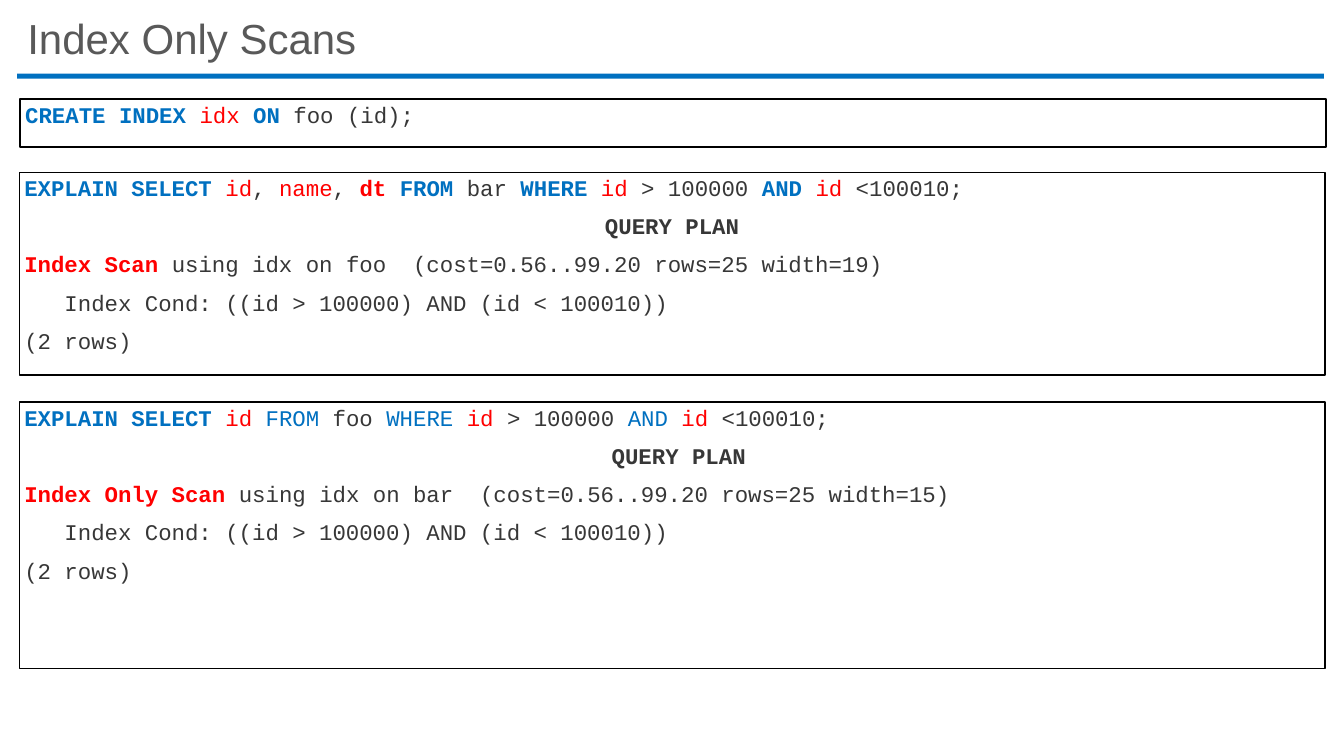
from pptx import Presentation
from pptx.dml.color import RGBColor
from pptx.enum.shapes import MSO_SHAPE
from pptx.enum.text import MSO_ANCHOR, PP_ALIGN
from pptx.util import Inches, Pt

RECTANGLE = MSO_SHAPE.RECTANGLE
TOP, MIDDLE = MSO_ANCHOR.TOP, MSO_ANCHOR.MIDDLE
LEFT, CENTER = PP_ALIGN.LEFT, PP_ALIGN.CENTER

BLUE = RGBColor(0x00, 0x70, 0xC0)
RED = RGBColor(0xFF, 0x00, 0x00)
INK = RGBColor(0x37, 0x37, 0x37)
GREY = RGBColor(0x59, 0x59, 0x59)
BLACK = RGBColor(0x00, 0x00, 0x00)

SLIDE_WIDTH, SLIDE_HEIGHT = Inches(13.33), Inches(7.5)
TITLE_ONLY = 5

KEYWORD = {"color": BLUE, "bold": True}
SOFT_KEYWORD = {"color": BLUE, "bold": False}
COLUMN = {"color": RED, "bold": False}
STRONG = {"color": RED, "bold": True}
PLAIN = {"color": INK, "bold": False}
HEADING = {"color": INK, "bold": True}

PLAN_END = [
    (LEFT, [("   Index Cond: ((id > 100000) AND (id < 100010))", PLAIN)]),
    (LEFT, [("(2 rows)", PLAIN)]),
]
CREATE_INDEX = [
    (LEFT, [("CREATE INDEX ", KEYWORD), ("idx ", COLUMN), ("ON", KEYWORD),
            (" foo (id);", PLAIN)]),
]
INDEX_SCAN = [
    (LEFT, [("EXPLAIN SELECT ", KEYWORD), ("id", COLUMN), (", ", PLAIN),
            ("name", COLUMN), (", ", PLAIN), ("dt ", STRONG),
            ("FROM", KEYWORD), (" bar ", PLAIN), ("WHERE ", KEYWORD),
            ("id", COLUMN), (" > 100000 ", PLAIN), ("AND ", KEYWORD),
            ("id", COLUMN), (" <100010;", PLAIN)]),
    (CENTER, [("QUERY PLAN", HEADING)]),
    (LEFT, [("Index Scan ", STRONG),
            ("using idx on foo  (cost=0.56..99.20 rows=25 width=19)", PLAIN)]),
    *PLAN_END,
]
INDEX_ONLY_SCAN = [
    (LEFT, [("EXPLAIN SELECT ", KEYWORD), ("id ", COLUMN),
            ("FROM", SOFT_KEYWORD), (" foo ", PLAIN),
            ("WHERE ", SOFT_KEYWORD), ("id", COLUMN), (" > 100000 ", PLAIN),
            ("AND ", SOFT_KEYWORD), ("id", COLUMN), (" <100010;", PLAIN)]),
    (CENTER, [(" QUERY PLAN", HEADING)]),
    (LEFT, [("Index Only Scan", STRONG),
            (" using idx on bar  (cost=0.56..99.20 rows=25 width=15)", PLAIN)]),
    *PLAN_END,
]


def area(left, top, width, height):
    """Turn percentages of the slide into a position and size."""
    return (int(SLIDE_WIDTH * left / 100), int(SLIDE_HEIGHT * top / 100),
            int(SLIDE_WIDTH * width / 100), int(SLIDE_HEIGHT * height / 100))


def apply_format(target, values):
    """Set each attribute of the target from the format values."""
    for attribute, value in values.items():
        setattr(target, attribute, value)


def style_run(run, font_name, size, color, bold=False):
    """Give a run its typeface, size, weight and colour."""
    apply_format(run.font, {"name": font_name, "size": Pt(size), "bold": bold})
    run.font.color.rgb = color


def add_heading(slide, wording):
    """Place and format the slide title."""
    heading = slide.shapes.title
    edges = area(1.28, 2, 97.22, 6.93)
    apply_format(heading, dict(zip(("left", "top", "width", "height"), edges)))
    apply_format(heading.text_frame,
                 {"vertical_anchor": MIDDLE, "word_wrap": True})
    line = heading.text_frame.paragraphs[0]
    apply_format(line, {"alignment": LEFT, "line_spacing": 0.9})
    run = line.add_run()
    run.text = wording
    style_run(run, "Arial", 30, GREY)


def add_rule(slide):
    """Draw the blue bar below the title."""
    rule = slide.shapes.add_shape(RECTANGLE, *area(1.28, 9.73, 97.22, 0.67))
    rule.shadow.inherit = False
    rule.fill.solid()
    rule.fill.fore_color.rgb = BLUE
    rule.line.fill.background()


def add_code_box(slide, left, top, height, statements):
    """Draw an outlined box holding coloured code lines."""
    box = slide.shapes.add_shape(RECTANGLE, *area(left, top, 97.15, height))
    box.shadow.inherit = False
    box.fill.background()
    box.line.color.rgb = BLACK
    box.line.width = Pt(1)
    frame = box.text_frame
    margins = ("margin_left", "margin_top", "margin_right", "margin_bottom")
    apply_format(frame, dict.fromkeys(margins, Inches(0.05)))
    apply_format(frame, {"vertical_anchor": TOP, "word_wrap": True})
    for number, (alignment, pieces) in enumerate(statements):
        line = frame.add_paragraph() if number else frame.paragraphs[0]
        apply_format(line, {"alignment": alignment, "line_spacing": 0.9,
                            "space_before": Pt(10 if number else 0)})
        for wording, look in pieces:
            run = line.add_run()
            run.text = wording
            style_run(run, "Courier New", 16, **look)


def main():
    """Build the slide and save it."""
    deck = Presentation()
    apply_format(deck, {"slide_width": SLIDE_WIDTH,
                        "slide_height": SLIDE_HEIGHT})
    slide = deck.slides.add_slide(deck.slide_layouts[TITLE_ONLY])
    add_rule(slide)
    add_heading(slide, "Index Only Scans")
    add_code_box(slide, 1.5, 13.07, 6.4, CREATE_INDEX)
    add_code_box(slide, 1.43, 22.8, 26.8, INDEX_SCAN)
    add_code_box(slide, 1.43, 53.2, 35.2, INDEX_ONLY_SCAN)
    deck.save("out.pptx")


if __name__ == "__main__":
    main()
